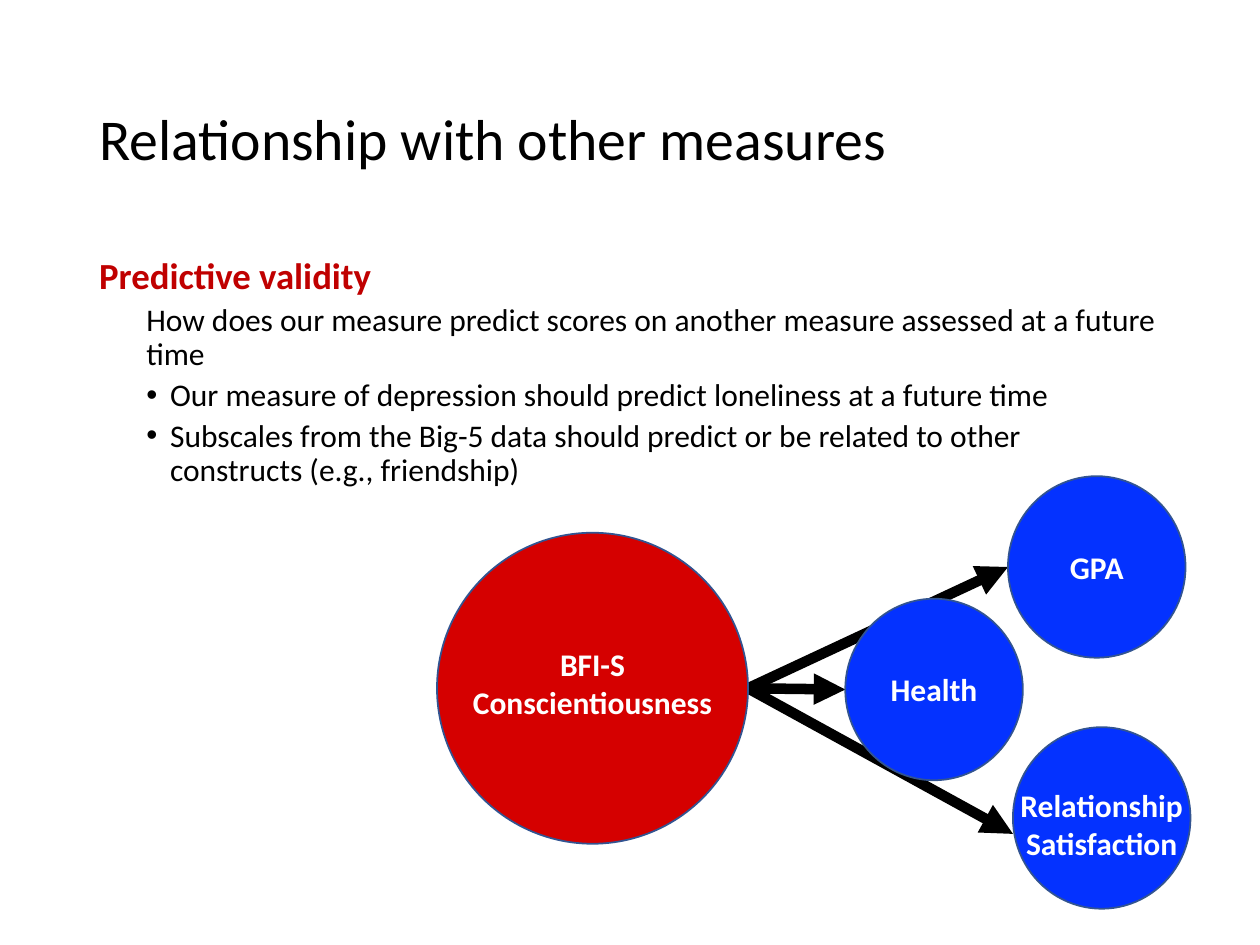
import lxml.etree
import pptx
import pptx.dml.color
import pptx.enum.shapes
import pptx.enum.text
import pptx.oxml.ns
import pptx.util

Cm = pptx.util.Cm
Pt = pptx.util.Pt

# Content: text
TITLE = "Relationship with other measures"
BODY = [
    ("heading", "Predictive validity"),
    ("plain", "How does our measure predict scores on another measure assessed at a future time"),
    ("bullet", "Our measure of depression should predict loneliness at a future time"),
    ("bullet", "Subscales from the Big-5 data should predict or be related to other "
               "constructs (e.g., friendship)"),
]

# Content: diagram, in centimetres; drops move a label or arrow tip below the circle's centre
PREDICTOR = dict(text="BFI-S Conscientiousness", left=8.81, top=10.74, size=(6.27, 6.27),
                 label_size=(5.38, 1.8), label_drop=-0.1, tip_drop=0)
OUTCOME_SIZE = (3.58, 3.66)
OUTCOMES = [
    dict(text="GPA", left=20.32, top=9.6, size=OUTCOME_SIZE,
         label_size=(3.02, 1.02), label_drop=0, tip_drop=0),
    dict(text="Health", left=17.04, top=12.07, size=OUTCOME_SIZE,
         label_size=(3.02, 1.02), label_drop=0, tip_drop=0),
    dict(text="Relationship Satisfaction", left=20.42, top=14.66, size=OUTCOME_SIZE,
         label_size=(4.14, 1.8), label_drop=0.14, tip_drop=0.32),
]

THEME = dict(
    font="Calibri", text="000000", heading="C00000", label="FFFFFF",
    predictor="D50000", outcome="0432FF", outline="325491", arrow="000000",
    title_size=33, heading_size=21, text_size=18, arrow_width=6,
)

# Left margin, first-line indent (cm) and space before (pt) for each kind of paragraph
BODY_STYLES = {
    "heading": dict(size=THEME["heading_size"], color=THEME["heading"], bold=True),
    "plain": dict(margin=0.95, before=3.8),
    "bullet": dict(margin=1.43, indent=-0.48, before=3.8, bullet="•"),
}


def rgb(color):
    return pptx.dml.color.RGBColor.from_string(color)


def add_child(parent, tag, **attributes):
    return lxml.etree.SubElement(parent, pptx.oxml.ns.qn(tag), attributes)


def add_box(slide, left, top, width, height, middle=False):
    box = slide.shapes.add_textbox(Cm(left), Cm(top), Cm(width), Cm(height))
    frame = box.text_frame
    frame.word_wrap = True
    if middle:
        frame.vertical_anchor = pptx.enum.text.MSO_ANCHOR.MIDDLE
    return frame


def write_paragraph(paragraph, text, size=THEME["text_size"], color=THEME["text"], bold=False,
                    align=pptx.enum.text.PP_ALIGN.LEFT, spacing=0.9, before=0,
                    margin=0, indent=0, bullet=None):
    paragraph.alignment = align
    paragraph.line_spacing = spacing
    paragraph.space_before = Pt(before)
    properties = paragraph._p.get_or_add_pPr()
    properties.set("marL", str(Cm(margin)))
    properties.set("indent", str(Cm(indent)))
    if bullet:
        add_child(properties, "a:buFont", typeface="Arial")
        add_child(properties, "a:buChar", char=bullet)
    run = paragraph.add_run()
    run.text = text
    run.font.name = THEME["font"]
    run.font.size = Pt(size)
    run.font.bold = bold
    run.font.color.rgb = rgb(color)


def centre(node):
    width, height = node["size"]
    return node["left"] + width / 2, node["top"] + height / 2


def add_circle(slide, node, fill):
    shape = slide.shapes.add_shape(
        pptx.enum.shapes.MSO_SHAPE.OVAL, Cm(node["left"]), Cm(node["top"]),
        *(Cm(length) for length in node["size"]))
    shape.shadow.inherit = False
    shape.fill.solid()
    shape.fill.fore_color.rgb = rgb(fill)
    shape.line.color.rgb = rgb(THEME["outline"])
    shape.line.width = Pt(1)


def add_label(slide, node):
    x, y = centre(node)
    width, height = node["label_size"]
    frame = add_box(slide, x - width / 2, y - height / 2 + node["label_drop"], width, height)
    write_paragraph(frame.paragraphs[0], node["text"], color=THEME["label"], bold=True,
                    align=pptx.enum.text.PP_ALIGN.CENTER, spacing=1.0)


def add_arrow(slide, source, target):
    start_x = source["left"] + source["size"][0]
    connector = slide.shapes.add_connector(
        pptx.enum.shapes.MSO_CONNECTOR.STRAIGHT, Cm(start_x), Cm(centre(source)[1]),
        Cm(target["left"]), Cm(centre(target)[1] + target["tip_drop"]))
    connector.line.color.rgb = rgb(THEME["arrow"])
    connector.line.width = Pt(THEME["arrow_width"])
    add_child(connector.line._get_or_add_ln(), "a:tailEnd", type="triangle")
    add_child(connector._element.spPr, "a:effectLst")


def main():
    presentation = pptx.Presentation()
    presentation.slide_width = Cm(25.4)
    presentation.slide_height = Cm(19.05)
    slide = presentation.slides.add_slide(presentation.slide_layouts[6])

    # Arrows lie behind the circles
    for outcome in OUTCOMES:
        add_arrow(slide, PREDICTOR, outcome)

    # Title and body
    title = add_box(slide, 1.75, 1.02, 21.89, 3.68, middle=True)
    write_paragraph(title.paragraphs[0], TITLE, size=THEME["title_size"])
    body = add_box(slide, 1.75, 5.08, 21.89, 12.09)
    for index, (kind, text) in enumerate(BODY):
        paragraph = body.add_paragraph() if index else body.paragraphs[0]
        write_paragraph(paragraph, text, **BODY_STYLES[kind])

    # Circles, then their labels
    add_circle(slide, PREDICTOR, THEME["predictor"])
    for outcome in OUTCOMES:
        add_circle(slide, outcome, THEME["outcome"])
    for node in [PREDICTOR, *OUTCOMES]:
        add_label(slide, node)

    presentation.save("out.pptx")


if __name__ == "__main__":
    main()
